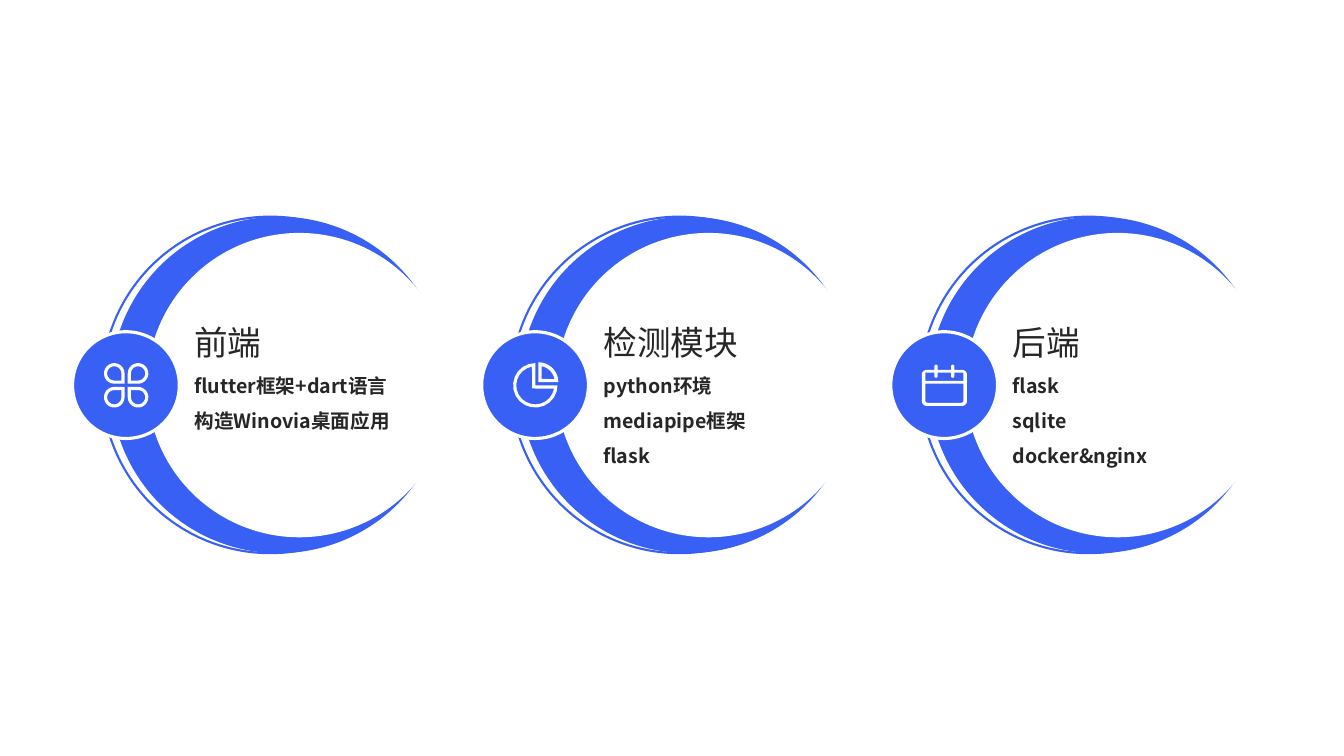
"""Build a slide with three crescents that name the parts of a software stack."""
from math import cos, radians, sin
from pptx import Presentation
from pptx.dml.color import RGBColor
from pptx.enum.shapes import MSO_SHAPE
from pptx.enum.text import MSO_ANCHOR
from pptx.util import Cm, Pt


def paint(shape, fill, line=None, width=0):
    shape.shadow.inherit = False
    shape.fill.solid()
    shape.fill.fore_color.rgb = RGBColor.from_string(fill)
    if line:
        shape.line.color.rgb = RGBColor.from_string(line)
        shape.line.width = Pt(width)
    else:
        shape.line.fill.background()


def arc(x, y, r, start, end, steps=16):
    turns = [radians(start + (end - start) * i / steps) for i in range(steps + 1)]
    return [(x + r * cos(t), y + r * sin(t)) for t in turns]


BLUE, WHITE, DARK = "3860F4", "FFFFFF", "262626"

clover = []
for sx in (-1, 1):
    for sy in (-1, 1):
        for r in (0.26, 0.18):
            petal = arc(0.3, 0.3, r, -90, 180) + [(0.3 - r, 0.3 - r)]
            clover.append([(sx * x, sy * y) for x, y in petal])

pie = [
    arc(0, 0, 0.56, 0, 270) + [(0, 0)],
    arc(0, 0, 0.48, 10, 260) + [(-0.08, 0.08)],
    arc(0.08, -0.08, 0.5, -90, 0) + [(0.08, -0.08)],
    arc(0.08, -0.08, 0.41, -79, -11) + [(0.16, -0.16)],
]

frame = arc(-0.44, -0.26, 0.13, 180, 270)
header = [(-0.48, -0.11), (-0.48, -0.32)]
for x in (-0.21, 0.21):
    left, right = x - 0.04, x + 0.04
    frame += [(left, -0.39)] + arc(x, -0.48, 0.04, 180, 360) + [(right, -0.39)]
    header += [(left, -0.32)] + arc(x, -0.23, 0.04, 180, 0) + [(right, -0.32)]
frame += arc(0.44, -0.26, 0.13, 270, 360)
frame += arc(0.44, 0.39, 0.13, 0, 90) + arc(-0.44, 0.39, 0.13, 90, 180)
header += [(0.48, -0.32), (0.48, -0.11)]
sheet = [(-0.48, -0.04), (0.48, -0.04)]
sheet += arc(0.43, 0.39, 0.05, 0, 90) + arc(-0.43, 0.39, 0.05, 90, 180)
calendar = [frame, header, sheet]

parts = [
    ("前端", "flutter框架+dart语言\v构造Winovia桌面应用", clover),
    ("检测模块", "python环境\vmediapipe框架\vflask", pie),
    ("后端", "flask\vsqlite\vdocker&nginx", calendar),
]
discs = [
    (2.57, 5.46, 8.48, WHITE, BLUE, 1.5),
    (2.79, 5.46, 8.48, BLUE, None, 0),
    (3.71, 5.87, 7.67, WHITE, None, 0),
    (1.83, 8.36, 2.69, BLUE, WHITE, 2.25),
]

deck = Presentation()
deck.slide_width, deck.slide_height = Cm(33.87), Cm(19.05)
shapes = deck.slides.add_slide(deck.slide_layouts[6]).shapes

for i, (title, body, icon) in enumerate(parts):
    shift = i * 10.31
    for x, y, size, fill, line, width in discs:
        disc = shapes.add_shape(MSO_SHAPE.OVAL, Cm(x + shift), Cm(y), Cm(size), Cm(size))
        paint(disc, fill, line, width)

    pen = None
    for loop in icon:
        points = [(Cm(3.18 + shift + x), Cm(9.71 + y)) for x, y in loop]
        if pen is None:
            pen = shapes.build_freeform(*points[0])
        else:
            pen.move_to(*points[0])
        pen.add_line_segments(points[1:], close=True)
    paint(pen.convert_to_shape(), WHITE)

    for text, top, height, anchor, space, font, size, bold in (
        (body, 9.12, 3.07, MSO_ANCHOR.TOP, 1.5, "Noto Sans CJK SC", 14, True),
        (title, 8, 1.12, MSO_ANCHOR.BOTTOM, 1.3, "Karla", 24, False),
    ):
        box = shapes.add_textbox(Cm(4.9 + shift), Cm(top), Cm(6.3), Cm(height)).text_frame
        box.word_wrap = True
        box.vertical_anchor = anchor
        box.margin_left = box.margin_right = box.margin_top = box.margin_bottom = 0
        para = box.paragraphs[0]
        para.text = text
        para.line_spacing = space
        para.font.name = font
        para.font.size = Pt(size)
        para.font.bold = bold
        para.font.color.rgb = RGBColor.from_string(DARK)

deck.save("out.pptx")
